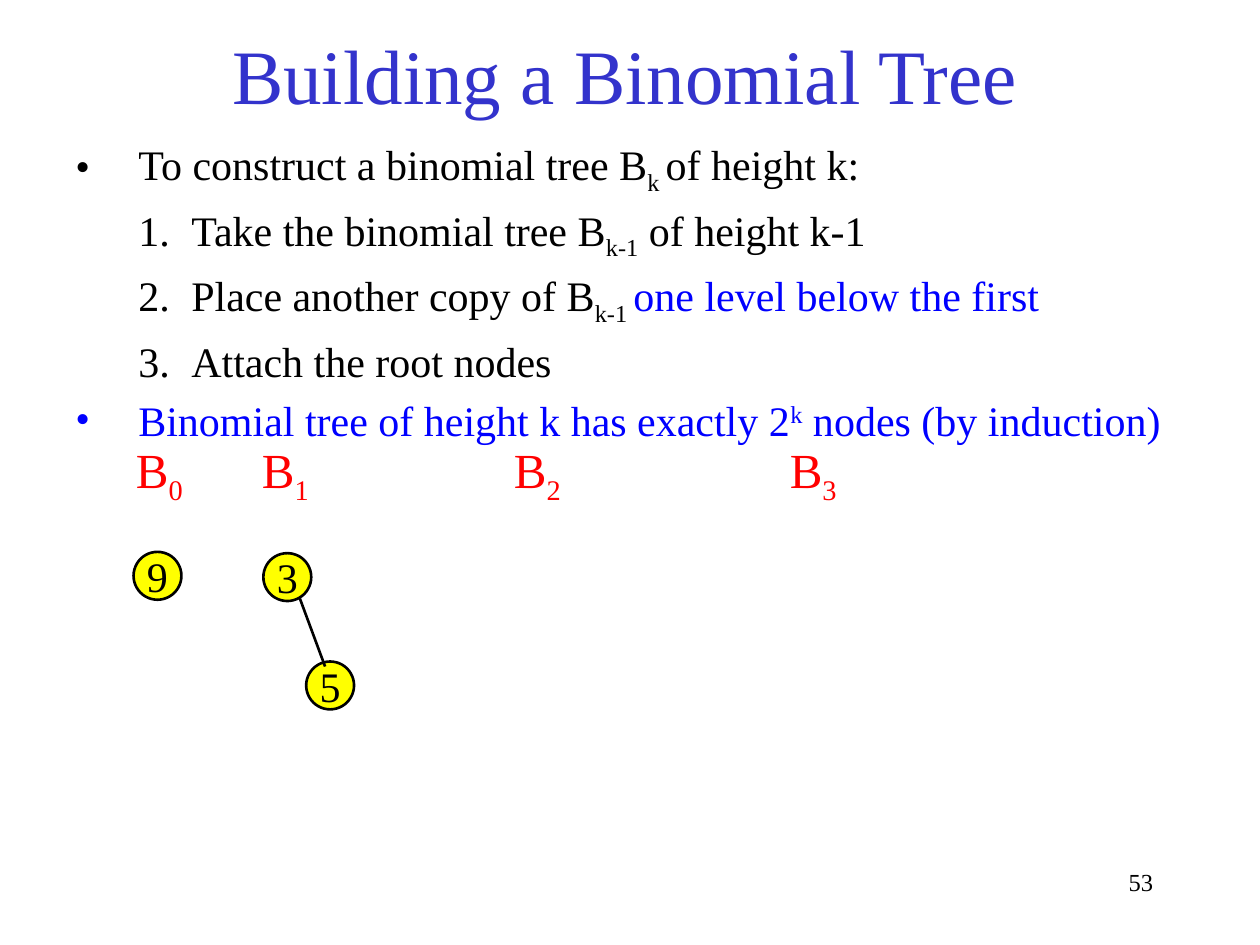
from lxml import etree
from pptx import Presentation
from pptx import util as u
from pptx.dml.color import RGBColor
from pptx.enum import shapes, text
from pptx.oxml.ns import qn

FONT = "Times New Roman"
HUES = {"black": "000000", "title": "3333CC", "blue": "0000FF",
        "red": "FF0000", "yellow": "FFFF00"}
SUB, SUP = -25000, 30000
ALIGN = text.PP_ALIGN
MID = text.MSO_ANCHOR.MIDDLE

STEPS = [
    ("•", [("To construct a binomial tree B",), ("k ", "black", SUB),
           ("of height k:",)]),
    ("1", [("Take the binomial tree B",), ("k-1", "black", SUB),
           (" of height k-1",)]),
    ("1", [("Place another copy of B",), ("k-1 ", "black", SUB),
           ("one level below the first", "blue")]),
    ("1", [("Attach the root nodes",)]),
    ("•", [("Binomial tree of height k has exactly 2", "blue"),
           ("k", "blue", SUP), (" nodes (by induction)", "blue")]),
]
TABS = (1, 3, 5.19)
NODES = [("9", 1.06, 4.38), ("3", 2.09, 4.39), ("5", 2.43, 5.25)]
SIZE = 0.38


def hue(name):
    return RGBColor.from_string(HUES[name])


def style(item, **form):
    for key, val in form.items():
        setattr(item, key, val)


def add_run(para, size, words, tint="black", base=0):
    run = para.add_run()
    run.text = words
    style(run.font, name=FONT, size=u.Pt(size))
    run.font.color.rgb = hue(tint)
    if base:
        run.font._element.set("baseline", str(base))


def add_box(slide, left, top, width, height, **form):
    box = slide.shapes.add_textbox(*map(u.Inches, (left, top, width, height)))
    style(box.text_frame, **{"word_wrap": True, **form})
    return box.text_frame


def add_line(slide, size, words, tint, place, align, **form):
    para = add_box(slide, *place, **form).paragraphs[0]
    para.alignment = align
    add_run(para, size, words, tint)


def add_mark(para, mark):
    props = para._p.get_or_add_pPr()
    left, hang = (0.5, 0.5) if mark == "•" else (0.92, 0.42)
    props.set("marL", str(u.Inches(left)))
    props.set("indent", str(-u.Inches(hang)))
    if mark == "•":
        etree.SubElement(props, qn("a:buFont"), typeface=FONT)
        etree.SubElement(props, qn("a:buChar"), char=mark)
    else:
        para.level = 1
        etree.SubElement(props, qn("a:buAutoNum"), type="arabicPeriod")


def add_steps(slide):
    frame = add_box(slide, 0.5, 1.05, 9.17, 4.95)
    for i, (mark, runs) in enumerate(STEPS):
        para = frame.add_paragraph() if i else frame.paragraphs[0]
        para.space_before = u.Pt(4.8 if i else 0)
        add_mark(para, mark)
        for run in runs:
            add_run(para, 24, *run)


def add_heads(slide):
    frame = add_box(slide, 0.98, 3.44, 5.79, 0.57, word_wrap=False)
    para = frame.paragraphs[0]
    stops = etree.SubElement(para._p.get_or_add_pPr(), qn("a:tabLst"))
    for stop in TABS:
        etree.SubElement(stops, qn("a:tab"), pos=str(u.Inches(stop)), algn="l")
    for i in range(len(TABS) + 1):
        add_run(para, 28, "\tB" if i else "B", "red")
        add_run(para, 28, str(i), "red", SUB)


def add_node(slide, label, left, top):
    node = slide.shapes.add_shape(
        shapes.MSO_SHAPE.OVAL, *map(u.Inches, (left, top, SIZE, SIZE)))
    node.shadow.inherit = False
    node.fill.solid()
    node.fill.fore_color.rgb = hue("yellow")
    node.line.color.rgb = hue("black")
    node.line.width = u.Pt(1.5)
    style(node.text_frame, word_wrap=False, vertical_anchor=MID)
    para = node.text_frame.paragraphs[0]
    para.alignment = ALIGN.CENTER
    add_run(para, 24, label)


def add_edge(slide, *ends):
    edge = slide.shapes.add_connector(
        shapes.MSO_CONNECTOR.STRAIGHT, *map(u.Inches, ends))
    edge.line.color.rgb = hue("black")
    edge.line.width = u.Pt(1.5)
    etree.SubElement(edge._element.spPr, qn("a:effectLst"))


def main():
    deck = Presentation()
    style(deck, slide_width=u.Inches(10), slide_height=u.Inches(7.5))
    slide = deck.slides.add_slide(deck.slide_layouts[6])
    add_line(slide, 14, "53", "black", (7.17, 6.83, 2.08, 0.5), ALIGN.RIGHT)
    add_line(slide, 44, "Building a Binomial Tree", "title",
             (0.42, 0, 9.08, 1.17), ALIGN.CENTER, vertical_anchor=MID)
    add_steps(slide)
    add_heads(slide)
    for node in NODES:
        add_node(slide, *node)
    add_edge(slide, 2.38, 4.75, 2.58, 5.29)
    deck.save("out.pptx")


if __name__ == "__main__":
    main()
